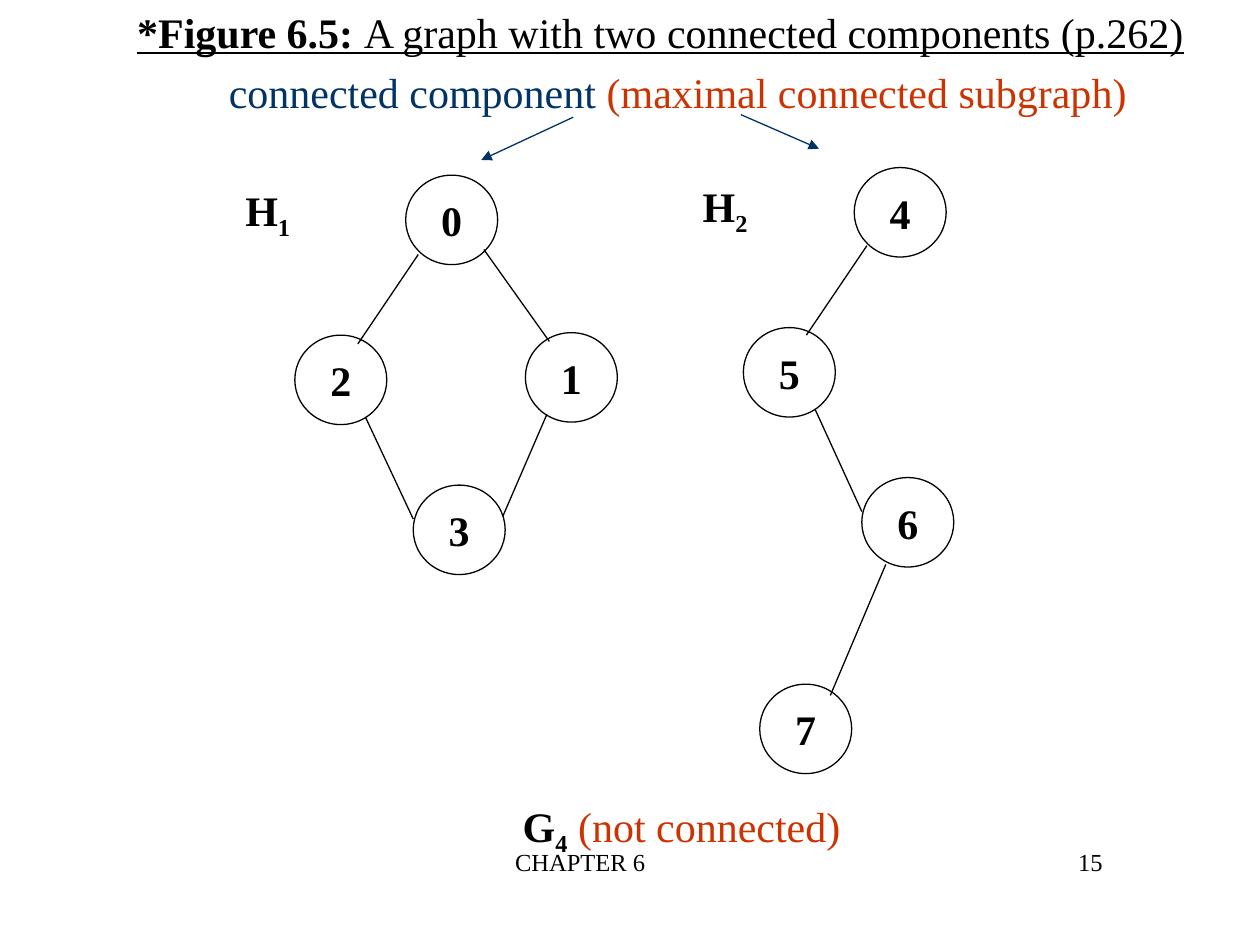
from dataclasses import dataclass

from pptx import Presentation
from pptx.dml.color import RGBColor
from pptx.enum.shapes import MSO_CONNECTOR as Connector, MSO_SHAPE as Shape
from pptx.enum.text import MSO_ANCHOR as Anchor, MSO_AUTO_SIZE as AutoSize, PP_ALIGN as Align
from pptx.oxml.ns import qn
from pptx.util import Inches, Pt
from lxml.etree import SubElement


@dataclass(frozen=True)
class Theme:
    font: str = "Times New Roman"
    body: int = 24
    small: int = 14
    line: float = 0.75
    black: RGBColor = RGBColor(0x00, 0x00, 0x00)
    white: RGBColor = RGBColor(0xFF, 0xFF, 0xFF)
    navy: RGBColor = RGBColor(0x00, 0x33, 0x66)
    red: RGBColor = RGBColor(0xCC, 0x33, 0x00)


THEME = Theme()
BOLD = {"bold": True}
SUBSCRIPT = {"bold": True, "baseline": -25000}
NODE_WIDTH, NODE_HEIGHT = 0.73, 0.71


def write(frame, runs, align=Align.CENTER, size=THEME.body):
    """Fill a text frame with (text, format) runs."""
    para = frame.paragraphs[0]
    para.alignment = align
    for text, extra in runs:
        span = para.add_run()
        span.text = text
        values = {"name": THEME.font, "size": Pt(size), "color": THEME.black, **extra}
        span.font.color.rgb = values.pop("color")
        baseline = values.pop("baseline", None)
        for key, value in values.items():
            setattr(span.font, key, value)
        if baseline:
            span.font._element.set("baseline", str(baseline))


def add_label(shapes, box, runs, align=Align.CENTER):
    """One-line text that sizes its box."""
    frame = shapes.add_textbox(*map(Inches, box)).text_frame
    values = {"word_wrap": False, "auto_size": AutoSize.SHAPE_TO_FIT_TEXT,
              "vertical_anchor": Anchor.MIDDLE}
    for key, value in values.items():
        setattr(frame, key, value)
    write(frame, runs, align)


def add_line(shapes, start, end, color=THEME.black, arrow=False):
    line = shapes.add_connector(Connector.STRAIGHT, *map(Inches, (*start, *end)))
    line.line.color.rgb = color
    line.line.width = Pt(THEME.line)
    properties = line._element.spPr
    if arrow:
        SubElement(properties.find(qn("a:ln")), qn("a:tailEnd"), type="triangle")
    SubElement(properties, qn("a:effectLst"))


def add_node(shapes, left, top, name):
    node = shapes.add_shape(Shape.OVAL, *map(Inches, (left, top, NODE_WIDTH, NODE_HEIGHT)))
    node.shadow.inherit = False
    node.fill.solid()
    node.fill.fore_color.rgb = THEME.white
    node.line.color.rgb = THEME.black
    node.line.width = Pt(THEME.line)
    node.text_frame.word_wrap = False
    node.text_frame.vertical_anchor = Anchor.MIDDLE
    write(node.text_frame, [(name, BOLD)])


def add_component(shapes, origin, index, label_top, nodes, edges):
    """One connected component; all positions are relative to its origin."""
    left, top = origin
    for name, (x, y) in nodes.items():
        add_node(shapes, left + x, top + y, name)
    for (x1, y1), (x2, y2) in edges:
        add_line(shapes, (left + x1, top + y1), (left + x2, top + y2))
    add_label(shapes, (left - 0.02, top + label_top, 0.59, 0.56),
              [("H", BOLD), (index, SUBSCRIPT)])


def add_heading(page, left, top):
    """Title, subtitle and the arrows to both components."""
    add_label(page.shapes, (left, top, 8.55, 0.5), [
        ("*Figure 6.5: ", {"bold": True, "underline": True}),
        ("A graph with two connected components (p.262)", {"underline": True}),
    ], Align.LEFT)
    for start, end in [((3.56, 0.93), (2.83, 1.27)), ((4.89, 0.91), (5.51, 1.18))]:
        add_line(page.shapes, (left + start[0], top + start[1]),
                 (left + end[0], top + end[1]), THEME.navy, arrow=True)
    add_label(page.shapes, (left + 0.71, top + 0.48, 7.36, 0.5), [
        ("connected component ", {"color": THEME.navy}),
        ("(maximal connected subgraph)", {"color": THEME.red}),
    ])


def add_graph(page, left, top):
    """Graph G4, grouped from its two components and caption."""
    shapes = page.shapes.add_group_shape().shapes
    add_component(
        shapes, (left, top + 0.06), "1", 0.02,
        {"0": (1.37, 0), "1": (2.32, 1.25), "2": (0.49, 1.27), "3": (1.43, 2.46)},
        [((1.99, 0.59), (2.51, 1.32)), ((2.49, 1.9), (2.14, 2.71)),
         ((1.47, 0.63), (0.99, 1.34)), ((1.05, 1.92), (1.43, 2.73))])
    add_component(
        shapes, (left + 3.63, top), "2", 0.05,
        {"4": (1.3, 0), "5": (0.42, 1.27), "6": (1.36, 2.46), "7": (0.55, 4.1)},
        [((1.4, 0.62), (0.92, 1.33)), ((0.99, 1.92), (1.36, 2.73)),
         ((1.55, 3.15), (1.11, 4.19))])
    add_label(shapes, (left + 2.18, top + 4.97, 2.76, 0.56), [
        ("G", BOLD), ("4", SUBSCRIPT), (" (not connected)", {"color": THEME.red})])


def add_footer(page, left, top):
    """Chapter name and page number."""
    for offset, width, text, align in [(0, 3.17, "CHAPTER 6", Align.CENTER),
                                       (3.75, 2.08, "15", Align.RIGHT)]:
        box = page.shapes.add_textbox(*map(Inches, (left + offset, top, width, 0.5)))
        box.text_frame.word_wrap = True
        write(box.text_frame, [(text, {})], align, THEME.small)


def main():
    deck = Presentation()
    deck.slide_width, deck.slide_height = Inches(10), Inches(7.5)
    page = deck.slides.add_slide(deck.slide_layouts[6])
    add_footer(page, 3.02, 6.67)
    add_graph(page, 1.85, 1.33)
    add_heading(page, 0.99, 0)
    deck.save("out.pptx")


if __name__ == "__main__":
    main()
